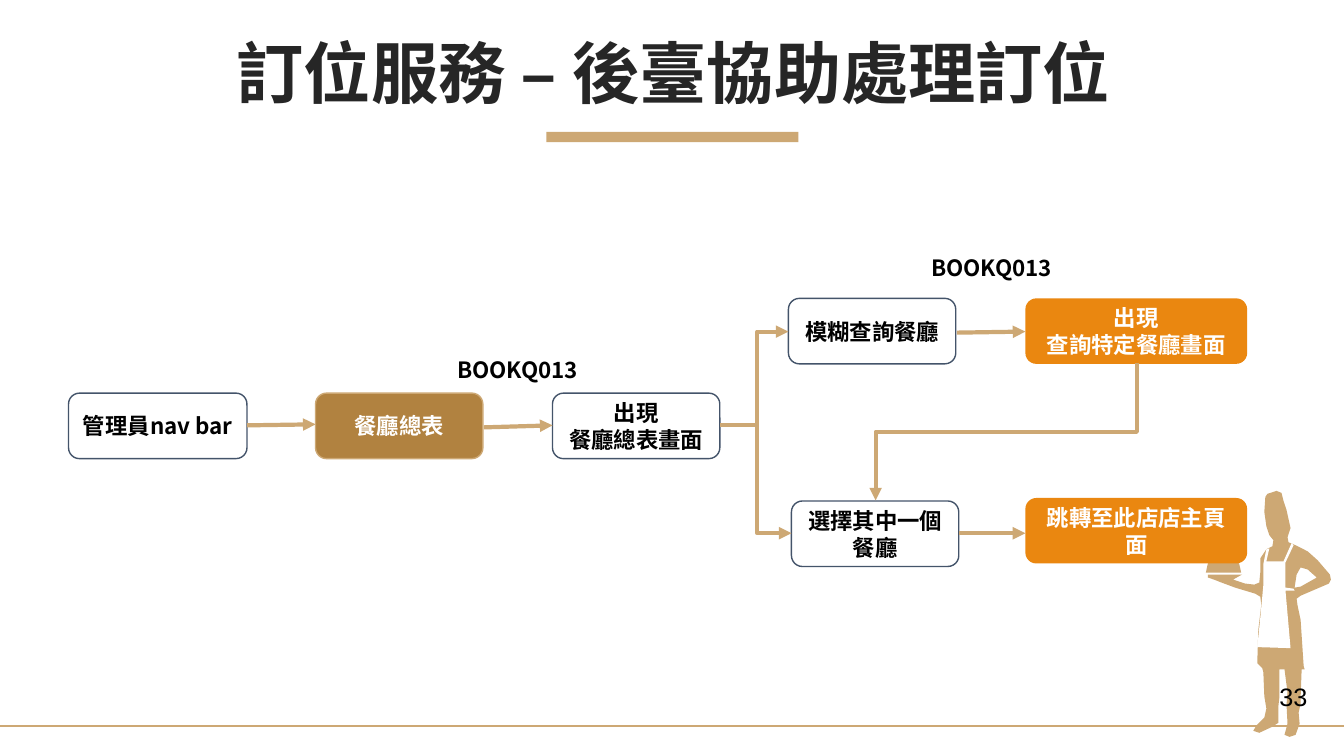
from lxml import etree
from pptx import Presentation
from pptx.dml.color import RGBColor
from pptx.enum.shapes import MSO_CONNECTOR, MSO_SHAPE
from pptx.enum.text import MSO_ANCHOR, MSO_AUTO_SIZE, PP_ALIGN
from pptx.oxml.ns import qn
from pptx.util import Inches, Pt

GOLD = RGBColor(0xCD, 0xA8, 0x74)
BRONZE = RGBColor(0xB1, 0x82, 0x40)
ORANGE = RGBColor(0xEA, 0x87, 0x10)
NAVY = RGBColor(0x44, 0x54, 0x6A)
INK = RGBColor(0x26, 0x26, 0x26)
BLACK = RGBColor(0, 0, 0)
WHITE = RGBColor(0xFF, 0xFF, 0xFF)
CJK = "Noto Sans CJK SC"

CHEF_BODY = [
    (1198, 570), (1232, 570), (1223, 575), (1235, 579), (1244, 580), (1249, 578),
    (1250, 568), (1250, 554), (1256, 545), (1262, 542), (1263, 536), (1259, 531),
    (1256, 522), (1254, 508), (1255, 493), (1257, 490), (1266, 487), (1271, 489),
    (1273, 497), (1276, 506), (1280, 524), (1277, 533), (1278, 538), (1285, 541),
    (1297, 547), (1307, 556), (1319, 570), (1320, 575), (1318, 579), (1290, 591),
    (1286, 594), (1287, 601), (1290, 615), (1293, 661), (1294, 664), (1291, 664),
    (1290, 692), (1290, 698), (1288, 707), (1289, 718), (1285, 729), (1279, 731),
    (1274, 729), (1277, 718), (1276, 699), (1277, 687), (1274, 664), (1269, 664),
    (1269, 691), (1268, 700), (1268, 717), (1262, 721), (1249, 727), (1243, 725),
    (1246, 720), (1254, 712), (1256, 703), (1254, 691), (1253, 667), (1252, 663),
    (1247, 658), (1248, 625), (1251, 600), (1250, 592), (1245, 589), (1225, 583),
    (1209, 577), (1204, 575), (1198, 573)]
CHEF_ARM_GAP = [(1284, 583), (1290, 582), (1306, 573), (1297, 565), (1290, 563),
                (1286, 570)]
CHEF_APRON = [
    (1281, 539), (1273, 557), (1256, 557), (1259, 544), (1256, 545), (1253, 560),
    (1253, 581), (1250, 613), (1247, 642), (1280, 643), (1275, 586), (1284, 586),
    (1283, 584), (1275, 583), (1275, 558), (1283, 541)]
CHEF_DISH = [
    (1214, 547), (1212, 548), (1212, 550), (1210, 550), (1203, 553), (1198, 559),
    (1196, 568), (1231, 568), (1229, 559), (1224, 553), (1217, 550), (1215, 550),
    (1215, 548)]


class FlowSlide:
    """Style and drawing methods for one flow chart slide."""

    def __init__(self, prs):
        self.s = prs.slides.add_slide(prs.slide_layouts[5])

    def set_text(self, tf, text, size=16, color=BLACK, font=CJK, bold=True,
                 align=PP_ALIGN.CENTER):
        p = tf.paragraphs[0]
        p.text = text
        p.alignment = align
        for r in p.runs:
            r.font.size, r.font.bold, r.font.name = Pt(size), bold, font
            r.font.color.rgb = color
            etree.SubElement(r._r.get_or_add_rPr(), qn("a:ea"), typeface=font)
        return p

    def title(self, text):
        sp = self.s.shapes.title
        sp.left, sp.top = Inches(0.35), Inches(0.37)
        sp.width, sp.height = Inches(12.66), Inches(0.79)
        tf = sp.text_frame
        tf.word_wrap = True
        tf.auto_size = MSO_AUTO_SIZE.NONE
        tf.vertical_anchor = MSO_ANCHOR.MIDDLE
        self.set_text(tf, text, 48, INK).line_spacing = 0.9

    def paint(self, sp, fill, line=None):
        sp.shadow.inherit = False
        if fill is None:
            sp.fill.background()
        else:
            sp.fill.solid()
            sp.fill.fore_color.rgb = fill
        if line is None:
            sp.line.fill.background()
        else:
            sp.line.color.rgb = line
            sp.line.width = Pt(1)

    def bar(self, x, y, w, h):
        sp = self.s.shapes.add_shape(MSO_SHAPE.RECTANGLE, Inches(x), Inches(y),
                                     Inches(w), Inches(h))
        self.paint(sp, GOLD)

    def outline(self, fill, *contours):
        first, *others = contours
        fb = self.s.shapes.build_freeform(*first[0], scale=Inches(0.01))
        fb.add_line_segments(first[1:], close=True)
        for contour in others:
            fb.move_to(*contour[0])
            fb.add_line_segments(contour[1:], close=True)
        self.paint(fb.convert_to_shape(), fill)

    def box(self, x, y, text, w=1.66, fill=None, line=None, color=WHITE):
        sp = self.s.shapes.add_shape(MSO_SHAPE.ROUNDED_RECTANGLE, Inches(x), Inches(y),
                                     Inches(w), Inches(0.65))
        self.paint(sp, fill, line)
        tf = sp.text_frame
        tf.word_wrap = True
        tf.vertical_anchor = MSO_ANCHOR.MIDDLE
        self.set_text(tf, text, color=color)

    def label(self, x, y, w, h, text, **style):
        sp = self.s.shapes.add_textbox(Inches(x), Inches(y), Inches(w), Inches(h))
        tf = sp.text_frame
        tf.word_wrap = False
        tf.auto_size = MSO_AUTO_SIZE.SHAPE_TO_FIT_TEXT
        self.set_text(tf, text, **style)

    def connect(self, x1, y1, x2, y2, ends=("tailEnd",), width=3,
                kind=MSO_CONNECTOR.STRAIGHT, adj=None, rot=0):
        c = self.s.shapes.add_connector(kind, Inches(x1), Inches(y1),
                                        Inches(x2), Inches(y2))
        c.line.color.rgb = GOLD
        c.line.width = Pt(width)
        pr = c._element.spPr
        for end in ends:
            etree.SubElement(pr.find(qn("a:ln")), qn(f"a:{end}"), type="triangle")
        etree.SubElement(pr, qn("a:effectLst"))
        if rot:
            pr.find(qn("a:xfrm")).set("rot", str(rot * 60000))
        if adj is not None:
            av = pr.find(qn("a:prstGeom")).find(qn("a:avLst"))
            etree.SubElement(av, qn("a:gd"), name="adj1", fmla=f"val {round(adj * 100000)}")


def main():
    prs = Presentation()
    prs.slide_width, prs.slide_height = Inches(13.33), Inches(7.5)
    flow = FlowSlide(prs)
    flow.bar(5.42, 1.31, 2.5, 0.1)
    flow.connect(0, 7.2, 13.33, 7.2, ends=(), width=1.5)
    flow.outline(GOLD, CHEF_BODY, CHEF_ARM_GAP)
    flow.outline(WHITE, CHEF_APRON)
    flow.outline(GOLD, CHEF_DISH)
    flow.title("訂位服務 – 後臺協助處理訂位")

    plain = {"line": NAVY, "color": BLACK}
    screen = {"w": 2.2, "fill": ORANGE}
    flow.box(0.68, 3.9, "管理員nav bar", w=1.77, **plain)
    flow.box(3.13, 3.9, "餐廳總表", fill=BRONZE, line=GOLD)
    flow.box(5.48, 3.9, "出現\n餐廳總表畫面", **plain)
    flow.box(7.85, 4.97, "選擇其中一個餐廳", **plain)
    flow.box(10.17, 4.94, "跳轉至此店店主頁面", **screen)
    flow.box(7.82, 2.96, "模糊查詢餐廳", **plain)
    flow.box(10.17, 2.96, "出現\n查詢特定餐廳畫面", **screen)

    for arrow in [(2.45, 4.22, 3.13, 4.21), (4.8, 4.24, 5.48, 4.22),
                  (9.51, 5.29, 10.17, 5.29), (9.49, 3.3, 10.17, 3.29)]:
        flow.connect(*arrow)
    flow.connect(7.14, 4.22, 7.52, 4.22, ends=())
    flow.connect(7.82, 3.29, 7.85, 5.29, ends=("headEnd", "tailEnd"),
                 kind=MSO_CONNECTOR.ELBOW, adj=-10.33)
    flow.connect(9.3, 2.99, 10.66, 5.58, kind=MSO_CONNECTOR.ELBOW, adj=0.5, rot=90)

    flow.label(4.42, 3.48, 1.43, 0.37, "BOOKQ013")
    flow.label(9.09, 2.47, 1.49, 0.37, "BOOKQ013")
    flow.label(12.59, 6.71, 0.48, 0.4, "33", size=18, font="Arial", bold=False,
               align=PP_ALIGN.LEFT)
    prs.save("out.pptx")


if __name__ == "__main__":
    main()
